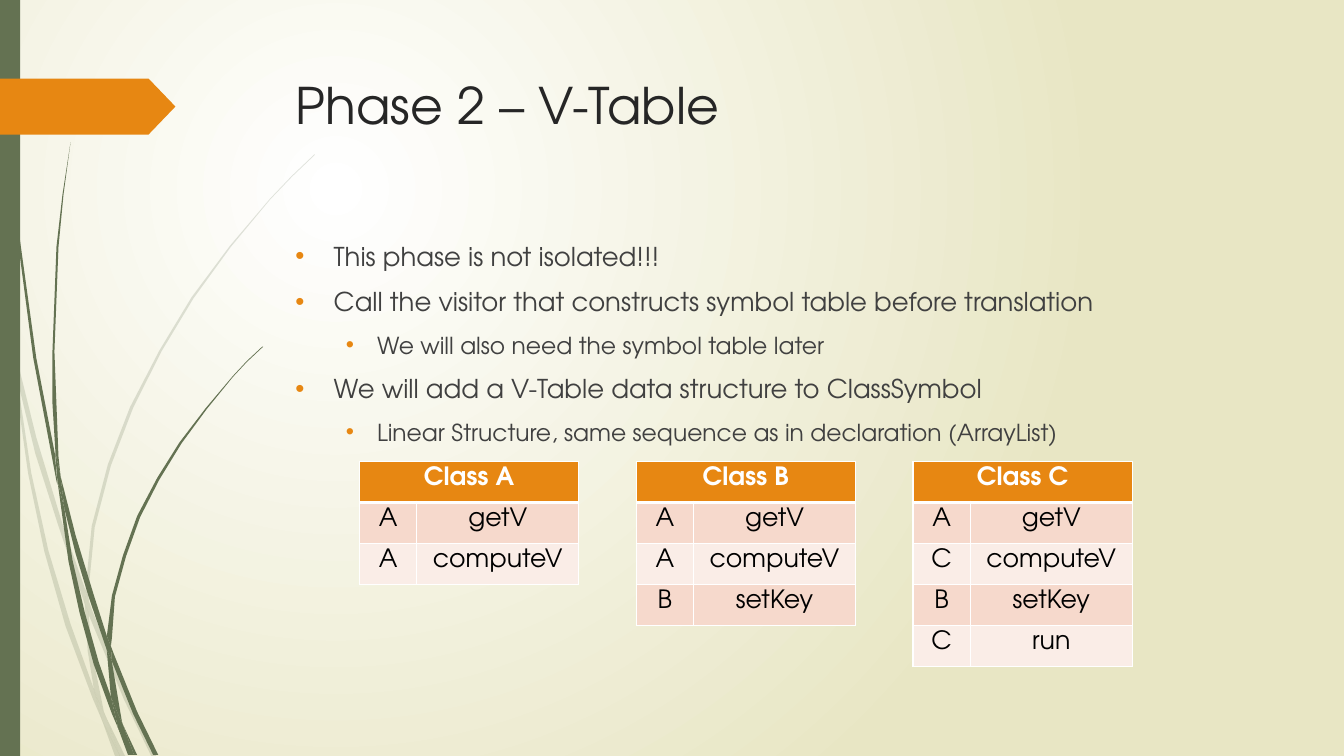
from dataclasses import dataclass

from lxml import etree
from pptx import Presentation
from pptx import util as u
from pptx.dml.color import RGBColor
from pptx.enum import shapes, text
from pptx.oxml.ns import qn

CELL = u.Inches(0.1)  # slide grid: 75 rows by 133.33 columns


@dataclass(frozen=True)
class Theme:
    font: str = "TeX Gyre Adventor"
    green: str = "647252"
    orange: str = "E78712"
    white: str = "FFFFFF"
    sand: str = "E8E6C4"
    title: str = "262626"
    body: str = "404040"
    cell: str = "000000"
    bands: tuple = ("F6D9CC", "FAEDE7")
    title_pt: float = 36
    level_pt: tuple = (18.5, 16.7)
    table_pt: float = 18


@dataclass(frozen=True)
class Box:
    """An area of the slide, in grid cells."""
    x: float
    y: float
    w: float
    h: float

    def emu(self):
        return [round(v * CELL) for v in (self.x, self.y, self.w, self.h)]


T = Theme()

# Grass pieces: corners of each outline as (column, row)
PALE_GRASS = [
    [(1.1, 35), (.9, 32.2), (0, 28.2), (0, 29.9), (1, 34.4)],
    [(5.8, 52.2), (8.4, 59.9), (8.5, 58.6), (6.2, 52), (3.6, 43.4), (1.4, 34.5),
     (1.7, 37.6), (3.5, 45)],
    [(9.2, 60.7), (8.8, 59.6), (8.8, 61), (12.3, 69.4), (15, 75), (15.5, 75), (12.7, 69.2)],
    [(11.9, 75), (12.4, 75), (10.5, 71.1)],
    [(9.3, 68.3), (7, 61.9), (4.8, 54.6), (3.1, 46.9), (1.7, 37.6), (1.1, 35), (2.8, 47),
     (4.4, 54.7), (6.5, 62.1), (9.2, 69.3), (10.1, 71.4), (9.9, 70.7)],
    [(8.4, 59.9), (8.7, 64.6), (9.3, 68.3), (9.6, 69.2), (10.5, 71.1), (10.3, 70.6),
     (9.1, 64.6), (8.8, 61), (8.8, 60.8)],
    [(8.8, 58.4), (9.4, 52.3), (11, 46.2), (13.2, 40.5), (16, 34.9), (19.2, 29.6),
     (22.9, 24.5), (26.8, 19.8), (29, 17.5), (31.2, 15.4), (31.2, 15.3), (28.9, 17.5),
     (26.8, 19.7), (22.8, 24.4), (19, 29.5), (15.8, 34.8), (12.9, 40.4), (10.7, 46.1),
     (9.1, 52.2), (8.5, 58.4), (8.5, 58.6), (8.8, 59.6)],
    [(10.1, 71.4), (11.4, 75), (11.9, 75)],
    [(8.8, 60.8), (8.8, 61), (8.8, 59.6), (8.5, 58.6), (8.4, 59.9)],
    [(9.6, 69.2), (9.3, 68.3), (9.9, 70.7), (10.1, 71.4), (11.9, 75), (10.5, 71.1)],
]
GREEN_GRASS = [
    [(.7, 11), (1.7, 23.3), (3.3, 35.5), (5.6, 47.7), (5.7, 48.1), (5.5, 45.7), (5.5, 45.3),
     (3.6, 35.5), (1.9, 23.2), (.8, 10.9), (.5, 4.8), (.4, 0), (.3, 0), (.4, 4.8)],
    [(8.8, 59.2), (10.6, 64.5), (10.6, 63.1), (9.3, 59), (7.5, 53.1), (6, 47.2),
     (6.4, 50.5), (7.5, 54.9)],
    [(11.3, 64.9), (11, 64.1), (11.1, 65.6), (13.2, 70.8), (15.2, 74.9), (15.7, 74.9),
     (13.6, 70.6)],
    [(11, 69.1), (9.8, 65.7), (8.4, 60.7), (7.2, 55.6), (6.4, 50.5), (5.7, 47.7),
     (6.8, 55.7), (7.9, 60.8), (9.3, 65.9), (11.1, 70.8), (11.7, 72.2), (11.6, 71.7)],
    [(6, 47.2), (5.8, 45.3), (5.4, 34.9), (5.8, 24.5), (6.3, 19.3), (7, 14.1), (6.2, 19.3),
     (5.6, 24.5), (5.2, 34.9), (5.2, 40), (5.5, 44.9)],
    [(13.3, 74.9), (13.6, 74.9), (12.2, 71.9)],
    [(5.7, 47.7), (6.4, 50.5), (6, 47.2), (5.5, 44.9), (5.5, 45.3)],
    [(11.1, 63.3), (11.4, 59.2), (12.5, 55.2), (13.9, 51.3), (15.8, 47.6), (18, 44),
     (20.5, 40.6), (23.1, 37.4), (24.5, 35.9), (26.1, 34.4), (26, 34.4), (24.5, 35.8),
     (23.1, 37.3), (20.4, 40.5), (17.8, 43.9), (15.6, 47.4), (13.6, 51.2), (12.2, 55.1),
     (11.1, 59.1), (10.6, 63.1), (11, 64.1)],
    [(11.7, 72.2), (12.7, 74.9), (13.1, 74.9)],
    [(10.6, 64.5), (11, 69.1), (11.6, 70.6), (12.2, 71.9), (12.1, 71.6), (11.1, 65.6),
     (10.9, 65.1)],
    [(10.6, 64.5), (10.9, 65.1), (11.1, 65.6), (11, 64.1), (10.6, 63.1)],
    [(11.6, 70.6), (11, 69.1), (11.6, 71.7), (11.7, 72.2), (13, 74.9), (13.3, 74.9),
     (12.2, 71.9)],
]

BULLETS = [
    (0, "This phase is not isolated!!!"),
    (0, "Call the visitor that constructs symbol table before translation"),
    (1, "We will also need the symbol table later"),
    (0, "We will add a V-Table data structure to ClassSymbol"),
    (1, "Linear Structure, same sequence as in declaration (ArrayList)"),
]
INDENTS = [(3.8, -3.8), (8.1, -3.1)]  # left margin and first line, in cells

V_TABLES = {
    "Class A": [("A", "getV"), ("A", "computeV")],
    "Class B": [("A", "getV"), ("A", "computeV"), ("B", "setKey")],
    "Class C": [("A", "getV"), ("C", "computeV"), ("B", "setKey"), ("C", "run")],
}


def rgb(value):
    return RGBColor.from_string(value)


def sub(parent, tag, **attrs):
    return etree.SubElement(parent, qn(tag), attrs)


def paint(sp, color, alpha=None):
    sp.shadow.inherit = False
    sp.line.fill.background()
    sp.fill.solid()
    sp.fill.fore_color.rgb = rgb(color)
    if alpha:
        clr = sp._element.spPr.find(".//" + qn("a:srgbClr"))
        sub(clr, "a:alpha", val=str(alpha * 1000))


def add_run(p, words, size, color, bold=False):
    r = p.add_run()
    r.text = words
    r.font.name, r.font.size, r.font.bold = T.font, u.Pt(size), bold
    r.font.color.rgb = rgb(color)


def background(s):
    fill = s.background.fill
    fill.gradient()
    for stop, color in zip(fill.gradient_stops, (T.white, T.sand)):
        stop.color.rgb = rgb(color)
    grad = s._element.find(".//" + qn("a:gradFill"))
    grad.remove(grad.find(qn("a:lin")))
    radial = sub(grad, "a:path")
    radial.set("path", "circle")
    sub(radial, "a:fillToRect", l="50000", t="50000", r="100000", b="100000")


def grass(s, box, pieces, alpha=None):
    for piece in pieces:
        outline = [(round((box.x + x) * CELL), round((box.y + y) * CELL)) for x, y in piece]
        builder = s.shapes.build_freeform(*outline[0])
        builder.add_line_segments(outline[1:], close=True)
        paint(builder.convert_to_shape(), T.green, alpha)


def decoration(s, box):
    grass(s, box, PALE_GRASS, alpha=20)
    grass(s, box, GREEN_GRASS)
    # Side bar and arrow tab
    bar = Box(box.x, box.y, 2, box.h)
    tab = Box(box.x, box.y + 7.8, 17.4, 5.55)
    paint(s.shapes.add_shape(shapes.MSO_SHAPE.RECTANGLE, *bar.emu()), T.green)
    arrow = s.shapes.add_shape(shapes.MSO_SHAPE.PENTAGON, *tab.emu())
    arrow.adjustments[0] = 0.48
    paint(arrow, T.orange)


def place(sp, box):
    sp.left, sp.top, sp.width, sp.height = box.emu()
    tf = sp.text_frame
    tf.word_wrap = True
    tf.auto_size = text.MSO_AUTO_SIZE.NONE
    tf.vertical_anchor = text.MSO_ANCHOR.TOP
    return tf


def heading(s, box):
    p = place(s.shapes.title, box).paragraphs[0]
    p.alignment = text.PP_ALIGN.LEFT
    add_run(p, "Phase 2 – V-Table", T.title_pt, T.title)


def bullet_list(s, box):
    tf = place(s.placeholders[1], box)
    for i, (level, words) in enumerate(BULLETS):
        p = tf.add_paragraph() if i else tf.paragraphs[0]
        p.level, p.space_before = level, u.Pt(10)
        pPr = p._p.get_or_add_pPr()
        for key, cells in zip(("marL", "indent"), INDENTS[level]):
            pPr.set(key, str(round(cells * CELL)))
        sub(sub(pPr, "a:buClr"), "a:srgbClr", val=T.orange)
        sub(pPr, "a:buFont", typeface="Arial")
        sub(pPr, "a:buChar", char="•")
        add_run(p, words, T.level_pt[level], T.body)


def style_cell(cell, words, fill, color, bold=False, top=1, bottom=1):
    cell.vertical_anchor = text.MSO_ANCHOR.TOP
    tcPr = cell._tc.get_or_add_tcPr()
    for tag, width in (("a:lnL", 1), ("a:lnR", 1), ("a:lnT", top), ("a:lnB", bottom)):
        ln = sub(tcPr, tag, w=str(u.Pt(width)))
        sub(sub(ln, "a:solidFill"), "a:srgbClr", val=T.white)
    cell.fill.solid()
    cell.fill.fore_color.rgb = rgb(fill)
    if words:
        p = cell.text_frame.paragraphs[0]
        p.alignment = text.PP_ALIGN.CENTER
        add_run(p, words, T.table_pt, color, bold)


def v_table(s, box, name, methods, key_width):
    table = s.shapes.add_table(len(methods) + 1, 2, *box.emu()).table
    table.horz_banding = False
    table.columns[0].width = round(key_width * CELL)
    table.columns[1].width = round((box.w - key_width) * CELL)
    table.cell(0, 0).merge(table.cell(0, 1))
    for col, words in enumerate((name, "")):
        style_cell(table.cell(0, col), words, T.orange, T.white, True, bottom=3)
    for row, method in enumerate(methods, 1):
        for col, words in enumerate(method):
            style_cell(table.cell(row, col), words, T.bands[(row - 1) % 2], T.cell,
                       top=3 if row == 1 else 1)


def v_tables(s, box):
    # The gap between tables equals the key column; names take 2.82 of it
    key = box.w / (3 * 3.82 + 2)
    row = box.h / 5
    for i, (name, methods) in enumerate(V_TABLES.items()):
        area = Box(box.x + i * 4.82 * key, box.y, 3.82 * key, row * (len(methods) + 1))
        v_table(s, area, name, methods, key)


def main():
    prs = Presentation()
    prs.slide_width, prs.slide_height = u.Inches(13.33), u.Inches(7.5)
    s = prs.slides.add_slide(prs.slide_layouts[1])
    background(s)
    decoration(s, Box(0, 0, 31.2, 75))
    heading(s, Box(28.35, 6.85, 97.5, 14))
    bullet_list(s, Box(28.3, 23.35, 97.5, 20.3))
    v_tables(s, Box(35.65, 45.8, 76.65, 20.3))
    prs.save("out.pptx")


main()
